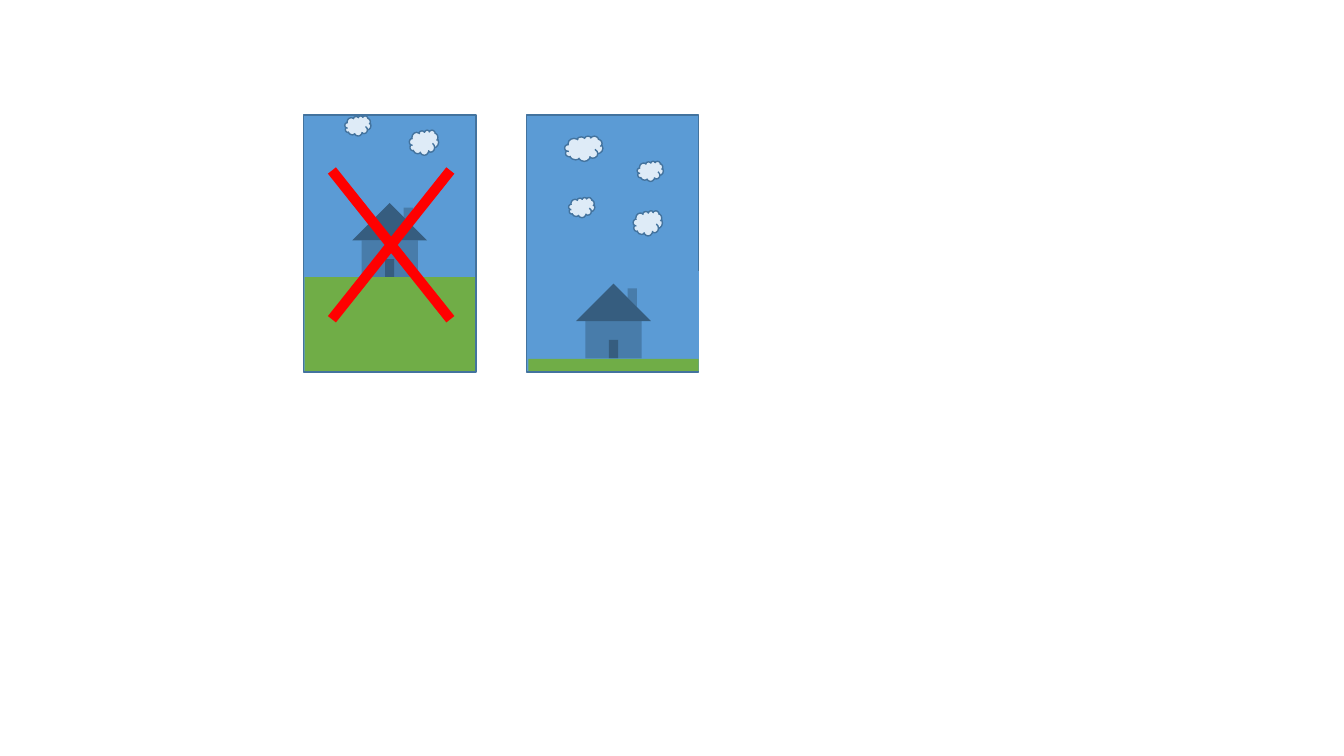
from pptx import Presentation
from pptx.dml.color import RGBColor
from pptx.enum.shapes import MSO_SHAPE
from pptx.util import Inches, Pt

RECTANGLE = MSO_SHAPE.RECTANGLE
CLOUD = MSO_SHAPE.CLOUD
HOUSE = MSO_SHAPE.ACTION_BUTTON_HOME
CROSS = MSO_SHAPE.MATH_MULTIPLY

SKY_BLUE = RGBColor(0x5B, 0x9B, 0xD5)
OUTLINE_BLUE = RGBColor(0x43, 0x73, 0x9E)
CLOUD_WHITE = RGBColor(0xDE, 0xEB, 0xF7)
GRASS_GREEN = RGBColor(0x70, 0xAD, 0x47)
CROSS_RED = RGBColor(0xFF, 0x00, 0x00)

BLANK_LAYOUT = 6
SCENE_TOP, SCENE_WIDTH, SCENE_HEIGHT = 1.14, 1.71, 2.55
INNER_WIDTH, HOUSE_HEIGHT, GRASS_BOTTOM = 1.69, 0.99, 3.68

SMALL_CLOUD = (0.26, 0.2)
TALL_CLOUD = (0.29, 0.25)
WIDE_CLOUD = (0.38, 0.25)


def add_filled_shape(slide, kind, left, top, width, height, fill, line=None):
    """Add a flat preset shape, with a thin outline if a line colour is given."""
    shape = slide.shapes.add_shape(
        kind, Inches(left), Inches(top), Inches(width), Inches(height))
    shape.shadow.inherit = False
    shape.fill.solid()
    shape.fill.fore_color.rgb = fill
    if line is None:
        shape.line.fill.background()
    else:
        shape.line.color.rgb = line
        shape.line.width = Pt(1)
    return shape


def add_sky(slide, left):
    """Add the outlined sky that frames a scene."""
    add_filled_shape(slide, RECTANGLE, left, SCENE_TOP, SCENE_WIDTH,
                     SCENE_HEIGHT, SKY_BLUE, OUTLINE_BLUE)


def add_house(slide, left, top):
    """Add the house on its sky-coloured button."""
    add_filled_shape(slide, HOUSE, left, top, INNER_WIDTH, HOUSE_HEIGHT,
                     SKY_BLUE)


def add_grass(slide, left, top):
    """Add grass from the given top down to the bottom of the scene."""
    add_filled_shape(slide, RECTANGLE, left, top, INNER_WIDTH,
                     GRASS_BOTTOM - top, GRASS_GREEN)


def add_clouds(slide, clouds):
    """Add one cloud for each (left, top, size)."""
    for left, top, size in clouds:
        add_filled_shape(slide, CLOUD, left, top, *size, CLOUD_WHITE,
                         OUTLINE_BLUE)


def add_cross(slide, left, top, width, height):
    """Add the red cross that marks the wrong scene."""
    cross = add_filled_shape(slide, CROSS, left, top, width, height, CROSS_RED)
    cross.adjustments[0] = 0.045


def main():
    """Build the slide with a wrong and a right scene."""
    presentation = Presentation()
    presentation.slide_width = Inches(13.33)
    presentation.slide_height = Inches(7.5)
    slide = presentation.slides.add_slide(
        presentation.slide_layouts[BLANK_LAYOUT])

    add_sky(slide, 3.01)
    add_sky(slide, 5.22)

    add_house(slide, 5.24, 2.69)
    add_grass(slide, 5.24, 3.56)
    add_clouds(slide, [(5.64, 1.96, SMALL_CLOUD), (6.28, 2.09, TALL_CLOUD),
                       (5.6, 1.35, WIDE_CLOUD), (6.32, 1.6, SMALL_CLOUD)])

    add_house(slide, 3.02, 1.89)
    add_clouds(slide, [(3.42, 1.15, SMALL_CLOUD), (4.06, 1.29, TALL_CLOUD)])
    add_grass(slide, 3.02, 2.75)
    add_cross(slide, 2.75, 1.01, 2.26, 2.84)

    presentation.save("out.pptx")


main()
